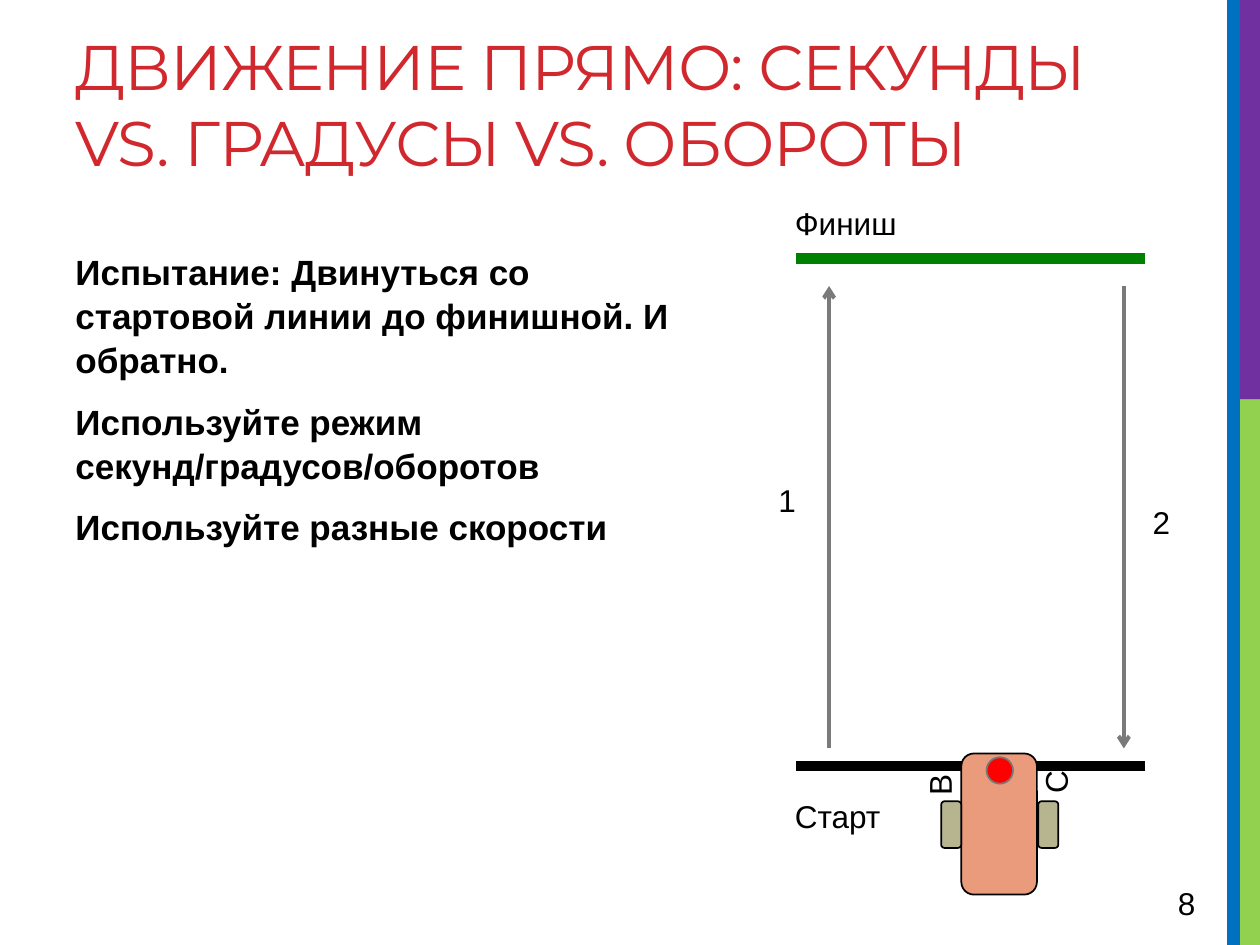
from lxml import etree
from pptx import Presentation, util as u
from pptx.dml.color import RGBColor
from pptx.enum import shapes, text
from pptx.oxml.ns import qn

Inches, Pt = u.Inches, u.Pt
Preset = shapes.MSO_SHAPE
COLORS = {
    "title": "D1282E", "text": "000000", "arrow": "7A7A7A", "finish": "008000",
    "start": "000000", "blue": "0070C0", "purple": "7030A0", "green": "92D050",
    "body": "EA9B7C", "wheel": "B6B590", "sensor": "FF0000", "sensor_edge": "777777",
}


def color(name):
    return RGBColor.from_string(COLORS[name])


def add_text(page, paragraphs, left, top, width, height, *, size=18, font="Arial",
             ink="text", bold=False, wrap=True, rotation=0, spacing=None,
             before=0, after=0, tracking=None):
    box = page.shapes.add_textbox(Inches(left), Inches(top), Inches(width), Inches(height))
    box.rotation = rotation
    frame = box.text_frame
    frame.word_wrap = wrap
    frame.vertical_anchor = text.MSO_ANCHOR.TOP
    for index, words in enumerate(paragraphs):
        para = frame.add_paragraph() if index else frame.paragraphs[0]
        para.space_before = Pt(before if index else 0)
        para.space_after = Pt(after)
        if spacing:
            para.line_spacing = spacing
        span = para.add_run()
        span.text = words
        span.font.size, span.font.name, span.font.bold = Pt(size), font, bold
        span.font.color.rgb = color(ink)
        if tracking is not None:
            span.font._element.set("spc", str(round(tracking * 100)))
    return box


def add_block(page, preset, left, top, width, height, fill, edge=None):
    block = page.shapes.add_shape(preset, Inches(left), Inches(top), Inches(width), Inches(height))
    block.shadow.inherit = False
    block.fill.solid()
    block.fill.fore_color.rgb = color(fill)
    if edge:
        block.line.color.rgb = color(edge)
        block.line.width = Pt(1)
    else:
        block.line.fill.background()
    return block


def add_line(page, start, end, ink, width, arrow=False):
    line = page.shapes.add_connector(shapes.MSO_CONNECTOR.STRAIGHT,
                                     *(Inches(value) for value in (*start, *end)))
    line.line.color.rgb = color(ink)
    line.line.width = Pt(width)
    if arrow:
        etree.SubElement(line.line._get_or_add_ln(), qn("a:tailEnd"), type="arrow")
    etree.SubElement(line._element.spPr, qn("a:effectLst"))


def add_side_stripes(page, left, width, height):
    split = 3.17
    add_block(page, Preset.RECTANGLE, left + 0.1, split, width - 0.1, height - split, "green")
    add_block(page, Preset.RECTANGLE, left + 0.06, 0, width - 0.06, split, "purple")
    add_block(page, Preset.RECTANGLE, left, 0, 0.1, height, "blue")


def add_track(page, left, top, width, height):
    """Finish and start lines with the numbered way there and back."""
    right, bottom = left + width, top + height
    add_line(page, (right, top), (left, top), "finish", 6)
    add_line(page, (right, bottom), (left, bottom), "start", 6)
    far, near = top + 0.22, bottom - 0.14
    there, back = left + 0.26, right - 0.17
    add_line(page, (there, near), (there, far), "arrow", 2.25, arrow=True)
    add_line(page, (back, far), (back, near), "arrow", 2.25, arrow=True)
    add_text(page, ["1"], there - 0.5, top + 1.72, 0.34, 0.4)
    add_text(page, ["2"], back + 0.13, top + 1.89, 0.34, 0.4)
    add_text(page, ["Финиш"], left - 0.11, top - 0.48, 1.02, 0.4, wrap=False)
    add_text(page, ["Старт"], left - 0.11, bottom + 0.2, 0.89, 0.4, wrap=False)


def add_robot(page, left, top, width, height):
    """Robot seen from above; the box is its body, the wheels stand outside."""
    wheel = 0.16
    add_block(page, Preset.ROUNDED_RECTANGLE, left, top, width, height, "body", "text")
    for wheel_left in (left - wheel, left + width + 0.01):
        add_block(page, Preset.ROUNDED_RECTANGLE, wheel_left, top + 0.38, wheel, 0.37,
                  "wheel", "text")
    add_block(page, Preset.OVAL, left + 0.2, top + 0.03, 0.21, 0.21, "sensor", "sensor_edge")
    add_text(page, ["B"], left - 0.45, top + 0.06, 0.45, 0.3, rotation=270)
    add_text(page, ["C"], left + 0.47, top + 0.04, 0.45, 0.3, rotation=270)


def main():
    deck = Presentation()
    deck.slide_width, deck.slide_height = Inches(10), Inches(7.5)
    page = deck.slides.add_slide(deck.slide_layouts[6])
    add_side_stripes(page, 9.74, 0.26, 7.5)
    add_text(page, ["ДВИЖЕНИЕ ПРЯМО: СЕКУНДЫ VS. ГРАДУСЫ VS. ОБОРОТЫ"],
             0.5, 0.17, 9.02, 1.5, size=36, font="Montserrat", ink="title", tracking=-0.6)
    add_text(page, ["Испытание: Двинуться со стартовой линии до финишной. И обратно.",
                    "Используйте режим секунд/градусов/оборотов",
                    "Используйте разные скорости"],
             0.5, 1.92, 4.98, 4.78, size=20, bold=True, spacing=1.05, before=4, after=6)
    add_track(page, 6.32, 2.05, 2.77, 4.03)
    add_robot(page, 7.63, 5.98, 0.6, 1.12)
    add_text(page, ["8"], 9.25, 6.97, 0.69, 0.4)
    deck.save("out.pptx")


if __name__ == "__main__":
    main()
